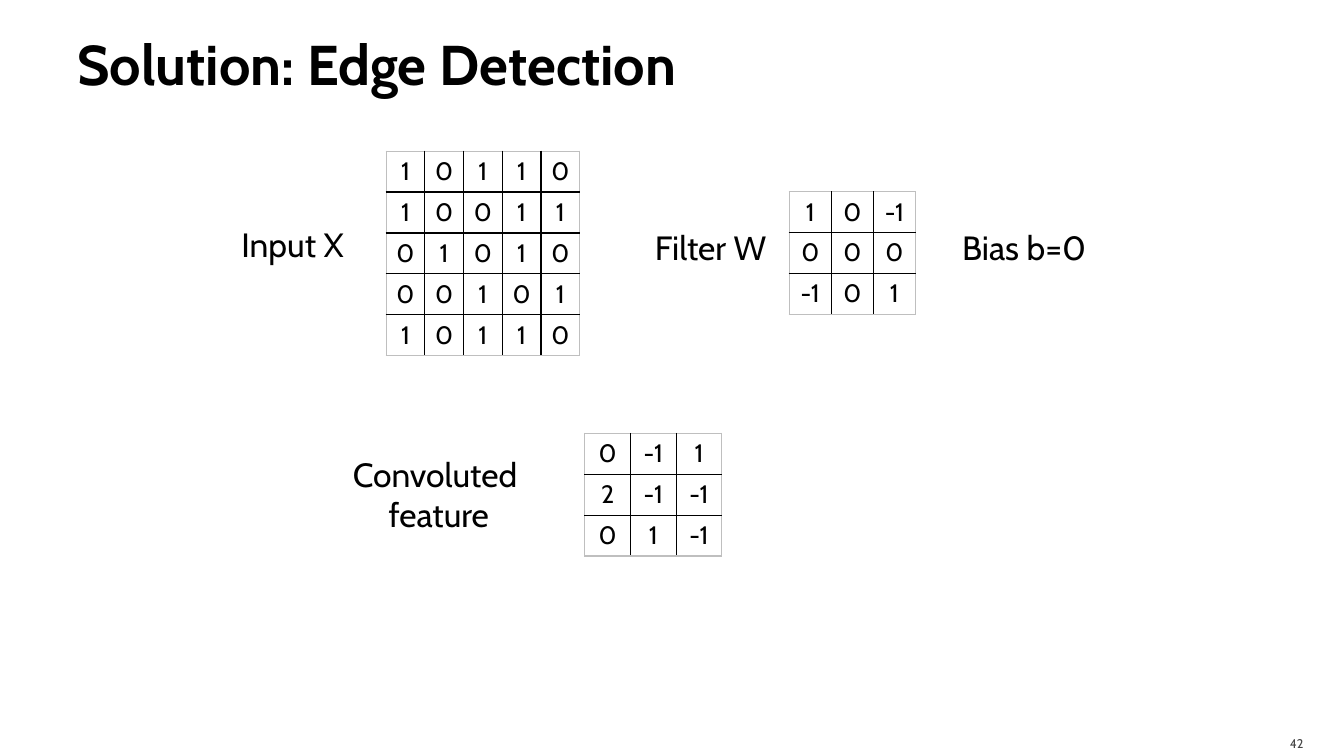
import pptx
import pptx.util
import pptx.dml.color
import pptx.enum.text
import pptx.oxml
import pptx.oxml.ns
from dataclasses import dataclass

Cm, Pt = pptx.util.Cm, pptx.util.Pt
ALIGN = pptx.enum.text.PP_ALIGN
ANCHOR = pptx.enum.text.MSO_ANCHOR


@dataclass(frozen=True)
class Theme:
    font: str = "Cabin"
    ink: str = "000000"
    muted: str = "454545"
    frame: str = "BFBFBF"
    paper: str = "FFFFFF"
    title: int = 40
    label: int = 24
    cell: int = 18
    number: int = 9
    border: int = 1


T = Theme()

# Content: lengths in centimetres
TITLE = "Solution: Edge Detection"
PAGE = "42"
LABEL_H = 2.54
LABELS = [  # text, centre, top, width
    ("Input X ", 7.41, 5.64, 3.4),
    ("Filter W", 17.85, 5.72, 3.4),
    ("Bias b=0", 25.75, 5.72, 3.8),
    ("Convoluted \vfeature", 11, 11.43, 5),
]
ROW_H = 1.03
MATRICES = [  # left, top, width, values
    (9.73, 3.81, 4.88, [
        (1, 0, 1, 1, 0),
        (1, 0, 0, 1, 1),
        (0, 1, 0, 1, 0),
        (0, 0, 1, 0, 1),
        (1, 0, 1, 1, 0),
    ]),
    (19.89, 4.83, 3.18, [(1, 0, -1), (0, 0, 0), (-1, 0, 1)]),
    (14.74, 10.92, 3.45, [(0, -1, 1), (2, -1, -1), (0, 1, -1)]),
]


def rgb(value):
    return pptx.dml.color.RGBColor.from_string(value)


def write(tf, text, size=T.label, color=T.ink, bold=False, align=ALIGN.CENTER):
    p = tf.paragraphs[0]
    p.text = text
    p.alignment = align
    for r in p.runs:
        r.font.name, r.font.size, r.font.bold = T.font, Pt(size), bold
        r.font.color.rgb = rgb(color)


def add_text(s, text, box, inset, anchor=ANCHOR.MIDDLE, **fmt):
    tf = s.shapes.add_textbox(*map(Cm, box)).text_frame
    tf.word_wrap, tf.vertical_anchor = True, anchor
    tf.margin_left, tf.margin_top, tf.margin_right, tf.margin_bottom = map(Cm, inset)
    write(tf, text, **fmt)


def add_borders(cell, outer):
    """outer tells, for left, right, top and bottom, whether the side is on the frame."""
    pr = cell._tc.get_or_add_tcPr()
    for i, (side, on_frame) in enumerate(zip(("lnL", "lnR", "lnT", "lnB"), outer)):
        color = T.frame if on_frame else T.ink
        pr.insert(i, pptx.oxml.parse_xml(
            f'<a:{side} {pptx.oxml.ns.nsdecls("a")} w="{Pt(T.border)}"><a:solidFill>'
            f'<a:srgbClr val="{color}"/></a:solidFill></a:{side}>'))


def add_matrix(s, left, top, width, values):
    rows, cols = len(values), len(values[0])
    table = s.shapes.add_table(rows, cols, Cm(left), Cm(top),
                               Cm(width), Cm(rows * ROW_H)).table
    table.first_row = table.horz_banding = False
    for column in table.columns:
        column.width = Cm(width / cols)
    for i, row in enumerate(values):
        table.rows[i].height = Cm(ROW_H)
        for j, value in enumerate(row):
            cell = table.cell(i, j)
            cell.fill.background()
            write(cell.text_frame, str(value), size=T.cell)
            add_borders(cell, (j == 0, j == cols - 1, i == 0, i == rows - 1))


prs = pptx.Presentation()
prs.slide_width, prs.slide_height = Cm(33.87), Cm(19.05)
s = prs.slides.add_slide(prs.slide_layouts[6])
s.background.fill.solid()
s.background.fill.fore_color.rgb = rgb(T.paper)

# Title and page number
add_text(s, TITLE, (1.7, 0.22, 30.48, 2.74), (0.25, 0.13, 0.13, 0.13),
         size=T.title, bold=True, align=ALIGN.LEFT)
add_text(s, PAGE, (30.38, 18.29, 2.72, 0.76), (0.25, 0.13, 0.25, 0),
         size=T.number, color=T.muted, align=ALIGN.RIGHT)

# Matrices and their labels
for matrix in MATRICES:
    add_matrix(s, *matrix)
for text, centre, top, width in LABELS:
    add_text(s, text, (centre - width / 2, top, width, LABEL_H),
             (0.25, 0, 0.13, 0), anchor=ANCHOR.TOP)

prs.save("out.pptx")
